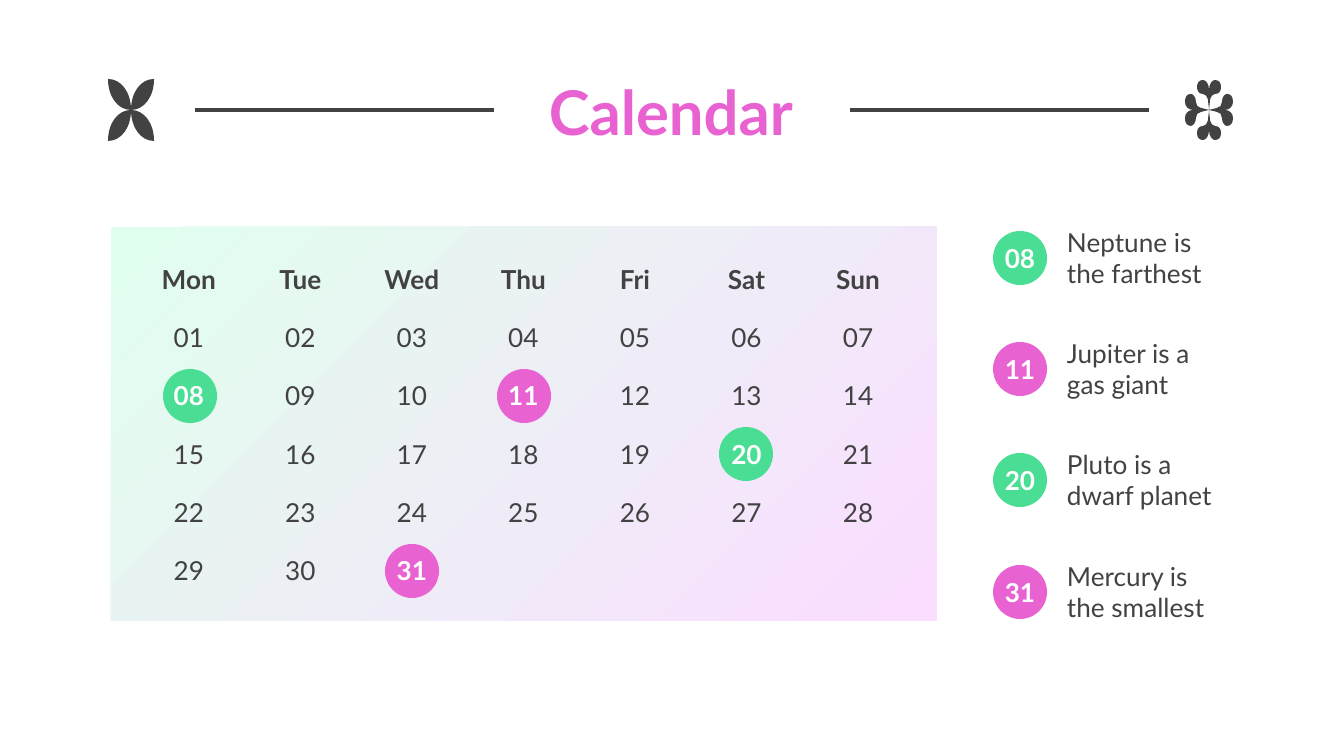
from lxml import etree
from pptx import Presentation
from pptx import util as u
from pptx.dml.color import RGBColor
from pptx.enum import shapes, text
from pptx.oxml.ns import qn

SCALE = 914400 / 134.4
FONT = "Lato"
INK, GREEN, PINK, WHITE = "424242", "49DE93", "E962D1", "FFFFFF"
MINT, BLUSH = "E0FFEE", "FBDDFF"
NO_GRID_STYLE = "{2D5ABB26-0587-4C30-8999-92F81FD0307C}"
CENTER, LEFT = text.PP_ALIGN.CENTER, text.PP_ALIGN.LEFT

DAYS = ["Mon", "Tue", "Wed", "Thu", "Fri", "Sat", "Sun"]
EVENTS = {
    8: (GREEN, "Neptune is the farthest"),
    11: (PINK, "Jupiter is a gas giant"),
    20: (GREEN, "Pluto is a dwarf planet"),
    31: (PINK, "Mercury is the smallest"),
}

LEAF = [(0, 0), (13, 0), (23, -13), (23, -31), (10, -31), (0, -18), (0, 0)]
TALL_PETAL = [
    (0, 0), (0, -8), (0, -14), (0, -20), (0, -26), (3, -30), (6, -30),
    (10, -30), (12, -27), (12, -23), (12, -19), (10, -16), (6, -16),
    (4, -16), (2, -14), (1, -10), (1, -7), (0, -3), (0, 0),
]
WIDE_PETAL = [
    (0, 0), (3, -1), (5, -1), (8, -2), (11, -2), (13, -5), (13, -8),
    (13, -13), (16, -16), (18, -16), (22, -16), (24, -13), (24, -8),
    (24, -3), (20, 0), (16, 0), (10, 0), (5, 0), (0, 0),
]


def px(n):
    return u.Emu(round(n * SCALE))


def rgb(value):
    return RGBColor.from_string(value)


def write(tf, words, size=14, color=INK, bold=False, align=LEFT, after=None):
    p = tf.paragraphs[0]
    p.alignment = align
    if after:
        p.space_after = u.Pt(after)
    r = p.add_run()
    r.text = words
    r.font.name = FONT
    r.font.size = u.Pt(size)
    r.font.bold = bold
    r.font.color.rgb = rgb(color)


def curve(sp):
    outline = sp.element.find(".//" + qn("a:path"))
    corners = outline.findall(qn("a:lnTo"))
    for i in range(0, len(corners), 3):
        bend = etree.Element(qn("a:cubicBezTo"))
        corners[i].addprevious(bend)
        for corner in corners[i:i + 3]:
            bend.append(corner[0])
            outline.remove(corner)


class Page:
    def __init__(self, prs):
        self.slide = prs.slides.add_slide(prs.slide_layouts[5])
        self.shapes = self.slide.shapes
        self.slide.background.fill.solid()
        self.slide.background.fill.fore_color.rgb = rgb(WHITE)

    def frame(self, tf, margin):
        tf.word_wrap = True
        tf.auto_size = text.MSO_AUTO_SIZE.NONE
        tf.vertical_anchor = text.MSO_ANCHOR.MIDDLE
        tf.margin_left = tf.margin_right = px(margin)
        tf.margin_top = tf.margin_bottom = px(margin)
        return tf

    def title(self, words, x, y, w, h):
        sp = self.shapes.title
        sp.left, sp.top, sp.width, sp.height = map(px, (x, y, w, h))
        write(self.frame(sp.text_frame, 13), words,
              size=33, color=PINK, bold=True, align=CENTER)

    def ornament(self, x, y, petals):
        group = self.shapes.add_group_shape()
        for petal in petals:
            for flip_x, flip_y in ((1, 1), (-1, 1), (1, -1), (-1, -1)):
                points = [(px(x + flip_x * a), px(y + flip_y * b))
                          for a, b in petal]
                builder = group.shapes.build_freeform(*points[0])
                builder.add_line_segments(points[1:], close=True)
                sp = builder.convert_to_shape()
                curve(sp)
                self.plain(sp, INK)

    def plain(self, sp, color):
        sp.shadow.inherit = False
        sp.line.fill.background()
        sp.fill.solid()
        sp.fill.fore_color.rgb = rgb(color)

    def rule(self, x1, x2, y):
        line = self.shapes.add_connector(
            shapes.MSO_CONNECTOR.STRAIGHT, px(x1), px(y), px(x2), px(y))
        line.line.color.rgb = rgb(INK)
        line.line.width = u.Pt(2.25)
        etree.SubElement(line.element.spPr, qn("a:effectLst"))

    def panel(self, x, y, w, h):
        sp = self.shapes.add_shape(
            shapes.MSO_SHAPE.ROUNDED_RECTANGLE, *map(px, (x, y, w, h)))
        sp.adjustments[0] = 0
        self.plain(sp, MINT)
        sp.fill.gradient()
        sp.fill.gradient_angle = 315
        for stop, color, place in zip(sp.fill.gradient_stops, (MINT, BLUSH), (0, 1)):
            stop.color.rgb = rgb(color)
            stop.position = place

    def dot(self, x, y, color, words=None):
        sp = self.shapes.add_shape(
            shapes.MSO_SHAPE.OVAL, *map(px, (x, y, 54, 54)))
        self.plain(sp, color)
        if words:
            write(self.frame(sp.text_frame, 0), words,
                  color=WHITE, bold=True, align=CENTER)

    def label(self, words, x, y, w, h):
        sp = self.shapes.add_textbox(*map(px, (x, y, w, h)))
        write(self.frame(sp.text_frame, 13), words, after=12)

    def calendar(self, x, y, w, h):
        dates = [f"{day:02}" for day in range(1, 32)]
        entries = DAYS + dates + [""] * 4
        marked = {f"{day:02}" for day in EVENTS}
        graphic = self.shapes.add_table(6, 7, *map(px, (x, y, w, h)))
        graphic.element.find(".//" + qn("a:tableStyleId")).text = NO_GRID_STYLE
        table = graphic.table
        table.first_row = table.horz_banding = False
        for cell, words in zip(table.iter_cells(), entries):
            cell.fill.background()
            cell.vertical_anchor = text.MSO_ANCHOR.MIDDLE
            margin = px(13 if words else 0)
            cell.margin_left = cell.margin_right = margin
            cell.margin_top = cell.margin_bottom = margin
            if words:
                write(cell.text_frame, words, align=CENTER,
                      color=WHITE if words in marked else INK,
                      bold=words in marked or words in DAYS)


def main():
    prs = Presentation()
    prs.slide_width, prs.slide_height = px(1344), px(756)
    page = Page(prs)
    page.ornament(131, 110, [LEAF])
    page.ornament(1209, 110, [TALL_PETAL, WIDE_PETAL])
    for x in (195, 850):
        page.rule(x, x + 299, 110)
    page.panel(111, 227, 826, 394)
    for day, (color, _) in EVENTS.items():
        week, weekday = divmod(day - 1, 7)
        page.dot(163 + round(weekday * 111.2), 311 + round(week * 58.2), color)
    page.calendar(133, 250, 781, 350)
    page.title("Calendar", 108, 68, 1126, 85)
    for i, (day, (color, fact)) in enumerate(EVENTS.items()):
        offset = round(i * 111.2)
        page.dot(993, 231 + offset, color, f"{day:02}")
        page.label(fact, 1054, 221 + offset, 180, 73)
    prs.save("out.pptx")


if __name__ == "__main__":
    main()
